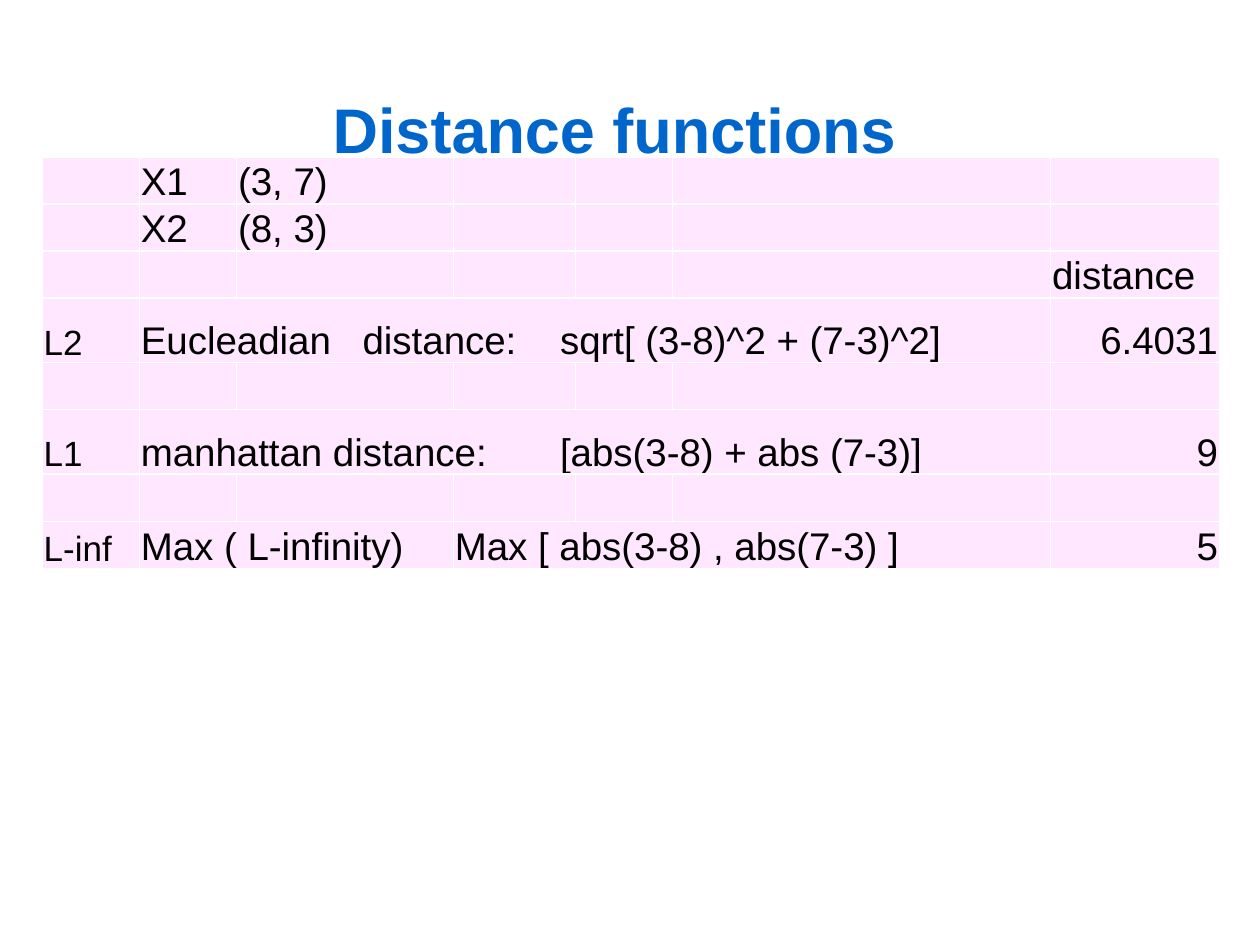
from lxml import etree
from pptx import Presentation
from pptx import util as u
from pptx.dml.color import RGBColor
from pptx.enum import text
from pptx.oxml import ns

COLS = (1.96, 1.96, 4.37, 2.46, 1.96, 7.62, 3.4)
ROWS = (0.95, 0.95, 0.95, 1.3, 0.95, 1.3, 0.95, 0.95)
TABS = (4.47, 8.45)
WORDS = {
    (0, 1): "X1", (0, 2): "(3, 7)",
    (1, 1): "X2", (1, 2): "(8, 3)",
    (2, 6): "distance",
    (3, 0): "L2", (3, 1): "Eucleadian\tdistance:\tsqrt[ (3-8)^2 + (7-3)^2]", (3, 6): "6.4031",
    (5, 0): "L1", (5, 1): "manhattan distance:\t[abs(3-8) + abs (7-3)]", (5, 6): "9",
    (7, 0): "L-inf", (7, 1): "Max ( L-infinity)", (7, 3): "Max [ abs(3-8) , abs(7-3) ]", (7, 6): "5",
}
SPANS = ((3, 1, 5), (5, 1, 5), (7, 1, 2), (7, 3, 5))
CELL = dict(margin_left=u.Cm(0.03), margin_right=u.Cm(0.03), margin_top=u.Cm(0.03),
            margin_bottom=0, vertical_anchor=text.MSO_ANCHOR.BOTTOM)


def color(code):
    """Turn a hex string into a colour."""
    return RGBColor.from_string(code)


def apply(item, form):
    """Set each format value on an item."""
    for name, value in form.items():
        setattr(item, name, value)


def write(para, words, size, code, bold, align):
    """Write one styled run into a paragraph."""
    para.alignment = align
    run = para.add_run()
    run.text = words
    apply(run.font, dict(name="Arial", size=u.Pt(size), bold=bold))
    run.font.color.rgb = color(code)


def edge(cell, code):
    """Draw a one point line on all sides of a cell."""
    props = cell._tc.get_or_add_tcPr()
    for spot, side in enumerate(("a:lnL", "a:lnR", "a:lnT", "a:lnB")):
        line = etree.Element(ns.qn(side), w=str(u.Pt(1)))
        fill = etree.SubElement(line, ns.qn("a:solidFill"))
        etree.SubElement(fill, ns.qn("a:srgbClr"), val=code)
        props.insert(spot, line)


def stops(para):
    """Add the tab stops that line up the formulas."""
    tabs = etree.SubElement(para._p.get_or_add_pPr(), ns.qn("a:tabLst"))
    for place in TABS:
        etree.SubElement(tabs, ns.qn("a:tab"), pos=str(u.Cm(place)), algn="l")


def title(slide, left, top, width, height):
    """Place the heading in its box."""
    box = slide.shapes.add_textbox(*map(u.Cm, (left, top, width, height)))
    apply(box.text_frame, dict(word_wrap=True, auto_size=text.MSO_AUTO_SIZE.SHAPE_TO_FIT_TEXT))
    write(box.text_frame.paragraphs[0], "Distance functions", 36, "0066CC", True,
          text.PP_ALIGN.CENTER)


def grid(slide, left, top):
    """Place the table of distances from its top left corner."""
    size = map(u.Cm, (left, top, sum(COLS), sum(ROWS)))
    table = slide.shapes.add_table(len(ROWS), len(COLS), *size).table
    apply(table, dict(first_row=False, horz_banding=False))
    for col, width in zip(table.columns, COLS):
        col.width = u.Cm(width)
    for row, height in zip(table.rows, ROWS):
        row.height = u.Cm(height)
    for cell in table.iter_cells():
        apply(cell, CELL)
        cell.fill.solid()
        cell.fill.fore_color.rgb = color("FFE7FF")
        edge(cell, "FFFFFF")
    for row, start, end in SPANS:
        table.cell(row, start).merge(table.cell(row, end))
    for (row, col), words in WORDS.items():
        para = table.cell(row, col).text_frame.paragraphs[0]
        right = col == 6 and row > 2
        align = text.PP_ALIGN.RIGHT if right else text.PP_ALIGN.LEFT
        write(para, words, 22 if col else 20, "000000", False, align)
        if "\t" in words:
            if words.count("\t") < len(TABS):
                para.runs[0].text = words.replace("\t", " \t")
            stops(para)


def main():
    """Build and save the slide."""
    deck = Presentation()
    apply(deck, dict(slide_width=u.Cm(25.4), slide_height=u.Cm(19.05)))
    slide = deck.slides.add_slide(deck.slide_layouts[6])
    grid(slide, 0.85, 3.16)
    title(slide, 3.81, 1.7, 17.15, 1.8)
    deck.save("out.pptx")


if __name__ == "__main__":
    main()
